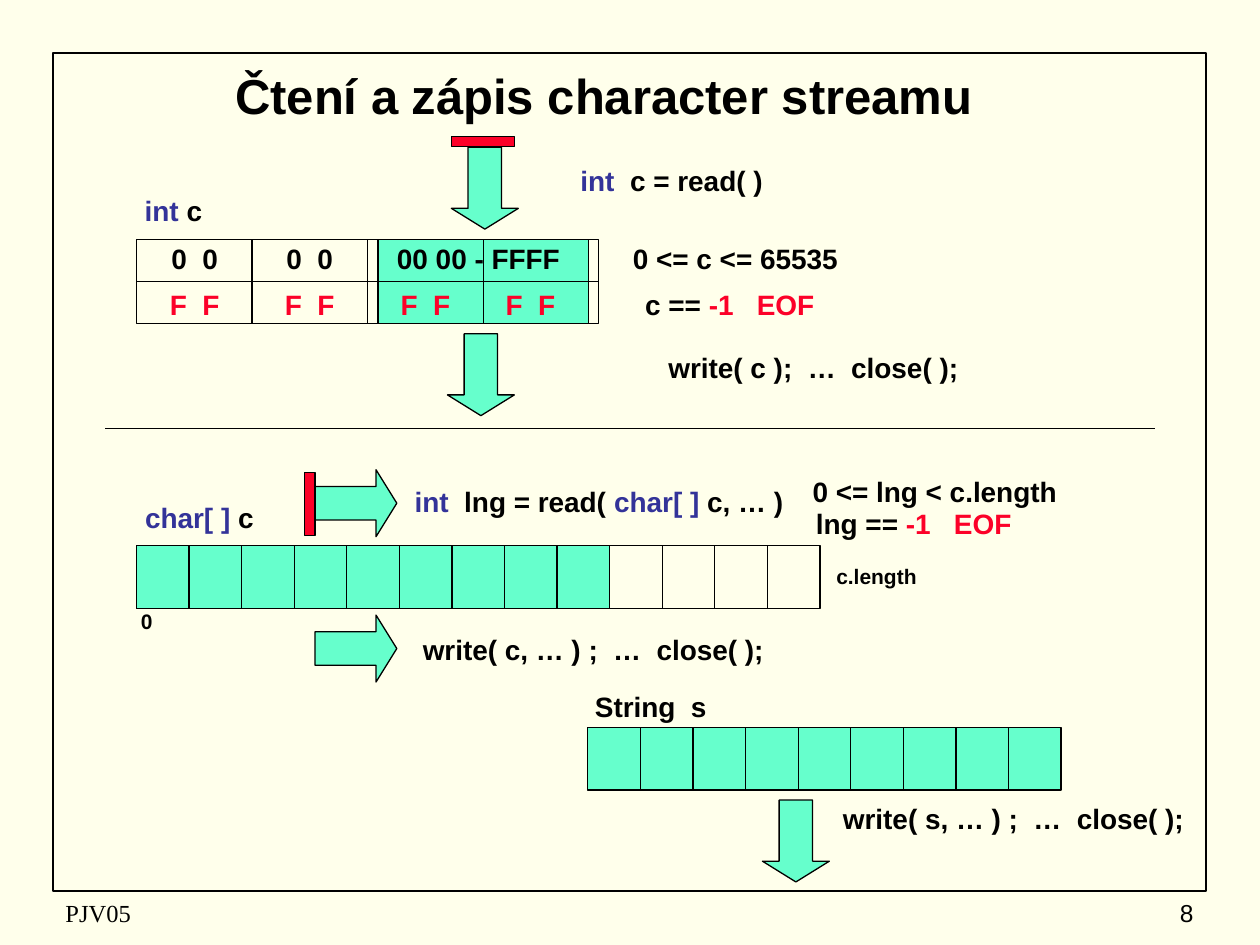
from lxml.etree import SubElement
from pptx import Presentation
from pptx.dml.color import RGBColor
from pptx.enum.shapes import MSO_CONNECTOR as CONNECTOR, MSO_SHAPE as SHAPE
from pptx.enum.text import MSO_ANCHOR as ANCHOR, MSO_AUTO_SIZE as AUTO_SIZE, PP_ALIGN as ALIGN
from pptx.oxml.ns import qn
from pptx.util import Cm, Pt

CREAM, MINT, RED, BLUE, BLACK = "FFFFEB", "66FFCC", "FC0128", "333399", "000000"
LINE_HEIGHT = 0.94
ARROW_LENGTH, ARROW_BREADTH = 1.65, 1.35
STOP_LENGTH, STOP_BREADTH = 1.27, 0.21
CELL_WIDTH, CELL_HEIGHT = 1.06, 1.27


def rgb(color):
    return RGBColor.from_string(color)


def write_runs(frame, runs, size=16, font="Arial", bold=True, align=ALIGN.CENTER):
    """Fill a text frame from a string or a list of (text, colour) pairs."""
    paragraph = frame.paragraphs[0]
    paragraph.alignment = align
    for text, color in [(runs, BLACK)] if isinstance(runs, str) else runs:
        run = paragraph.add_run()
        run.text = text
        run.font.size, run.font.name, run.font.bold = Pt(size), font, bold
        run.font.color.rgb = rgb(color)


def add_label(slide, runs, left, top, width, height=LINE_HEIGHT, anchor=ANCHOR.TOP, **style):
    frame = slide.shapes.add_textbox(Cm(left), Cm(top), Cm(width), Cm(height)).text_frame
    frame.word_wrap = True
    frame.auto_size = AUTO_SIZE.SHAPE_TO_FIT_TEXT if anchor == ANCHOR.TOP else AUTO_SIZE.NONE
    frame.vertical_anchor = anchor
    write_runs(frame, runs, **style)


def add_block(slide, left, top, width, height, fill=None, preset=SHAPE.RECTANGLE, weight=0.75):
    block = slide.shapes.add_shape(preset, Cm(left), Cm(top), Cm(width), Cm(height))
    block.shadow.inherit = False
    if fill:
        block.fill.solid()
        block.fill.fore_color.rgb = rgb(fill)
    else:
        block.fill.background()
    block.line.color.rgb = rgb(BLACK)
    block.line.width = Pt(weight)
    return block


def add_arrow(slide, left, top, down=True):
    size = (ARROW_BREADTH, ARROW_LENGTH) if down else (ARROW_LENGTH, ARROW_BREADTH)
    preset = SHAPE.DOWN_ARROW if down else SHAPE.RIGHT_ARROW
    arrow = add_block(slide, left, top, *size, MINT, preset)
    arrow.adjustments[0], arrow.adjustments[1] = 0.5, 0.31


def add_line(slide, x1, y1, x2, y2):
    line = slide.shapes.add_connector(CONNECTOR.STRAIGHT, Cm(x1), Cm(y1), Cm(x2), Cm(y2))
    line.line.color.rgb = rgb(BLACK)
    line.line.width = Pt(0.75)
    SubElement(line._element.spPr, qn("a:effectLst"))
    return line


def add_grid(slide, left, top, width, height, columns, rows=1, fill=None):
    """Draw an outlined box split into equal cells."""
    box = add_block(slide, left, top, width, height, fill)
    for column in range(1, columns):
        x = left + width * column / columns
        line = add_line(slide, x, top, x, top + height)
        if 2 * column == columns:
            line.begin_connect(box, 0)
            line.end_connect(box, 2)
    for row in range(1, rows):
        y = top + height * row / rows
        line = add_line(slide, left, y, left + width, y)
        if 2 * row == rows:
            line.begin_connect(box, 1)
            line.end_connect(box, 3)


def page_frame(slide, left, top, width, height):
    add_block(slide, left, top, width, height, weight=1)
    footer = dict(top=top + height + 0.02, height=0.84, anchor=ANCHOR.MIDDLE, size=14, bold=False)
    add_label(slide, "PJV05", left, width=8.05, font="Times New Roman", align=ALIGN.LEFT, **footer)
    add_label(slide, "8", left + width - 5.28, width=5.28, align=ALIGN.RIGHT, **footer)


def slide_title(slide, left, top, width, height):
    title = slide.shapes.title
    title.left, title.top, title.width, title.height = Cm(left), Cm(top), Cm(width), Cm(height)
    title.text_frame.vertical_anchor = ANCHOR.MIDDLE
    write_runs(title.text_frame, "Čtení a zápis character streamu", size=28)


def single_char_section(slide, left, top):
    """Reading and writing one character held in the four bytes of an int."""
    byte_width, row_height = 2.33, 0.85
    bytes_top = top + 2.08
    for row in (0, 1):
        add_block(slide, left + 4.87, bytes_top + row * row_height, 4.24, row_height, MINT)
    add_grid(slide, left, bytes_top, 4 * byte_width, 2 * row_height, columns=4, rows=2)

    value_row, eof_row = top + 2, top + 2.92
    for offset in (0.22, 2.54):
        add_label(slide, "0  0", left + offset, value_row, 1.91)
    add_label(slide, "00 00 - FFFF", left + 4.67, value_row, 4.45)
    for offset in (0.22, 2.54, 4.87, 6.99):
        add_label(slide, [("F  F", RED)], left + offset, eof_row, 1.91)
    add_label(slide, "0 <= c <= 65535", left + 9.32, value_row, 5.51)
    add_label(slide, [("c == ", BLACK), ("-1   EOF", RED)], left + 9.32, eof_row, 5.28)

    add_arrow(slide, left + 6.35, top + 0.22)
    add_block(slide, left + 6.35, top, STOP_LENGTH, STOP_BREADTH, RED)
    add_label(slide, [("int ", BLUE), ("c", BLACK)], left - 0.21, top + 1.02, 1.91)
    add_label(slide, [("int ", BLUE), (" c = read( )", BLACK)], left + 8.25, top + 0.43, 5.08)
    add_arrow(slide, left + 6.27, top + 3.98)
    add_label(slide, "write( c );  …  close( );", left + 9.52, top + 4.19, 8.26)


def char_array_section(slide, left, top):
    """Reading and writing an array of which the first cells are filled."""
    cells, filled = 13, 9
    cells_top = top + 1.53
    add_block(slide, left, cells_top, filled * CELL_WIDTH, CELL_HEIGHT, MINT)
    add_grid(slide, left, cells_top, cells * CELL_WIDTH, CELL_HEIGHT, cells)
    add_label(slide, "0", left - 0.21, top + 2.67, 0.84, 0.76, size=12)
    add_label(slide, "c.length", left + 13.33, top + 1.76, 3.18, 0.76, size=12)

    add_arrow(slide, left + 3.6, top, down=False)
    add_block(slide, left + 3.39, top + 0.05, STOP_BREADTH, STOP_LENGTH, RED)
    add_label(slide, [("char[ ] ", BLUE), ("c", BLACK)], left - 0.42, top + 0.49, 3.38)
    add_label(slide, [("int ", BLUE), (" lng = read( ", BLACK), ("char[ ] ", BLUE), ("c, … )", BLACK)],
              left + 5.3, top + 0.18, 8.05)
    add_label(slide, "0 <= lng < c.length", left + 12.92, top - 0.02, 6.35)
    add_label(slide, [("lng == ", BLACK), ("-1   EOF", RED)], left + 13.13, top + 0.61, 5.08)
    add_arrow(slide, left + 3.6, top + 2.93, down=False)
    add_label(slide, "write( c, … ) ;  …  close( );", left + 4.45, top + 3.15, 9.53)


def string_section(slide, left, top):
    """Writing a whole string."""
    characters = 9
    add_label(slide, "String  s", left - 0.42, top, 3.38)
    add_grid(slide, left, top + 0.89, characters * CELL_WIDTH, CELL_HEIGHT, characters, fill=MINT)
    add_arrow(slide, left + 3.52, top + 2.36)
    add_label(slide, "write( s, … ) ;  …  close( );", left + 3.82, top + 2.26, 9.53)


def main():
    presentation = Presentation()
    presentation.slide_width, presentation.slide_height = Cm(25.4), Cm(19.05)
    slide = presentation.slides.add_slide(presentation.slide_layouts[5])
    slide.background.fill.solid()
    slide.background.fill.fore_color.rgb = rgb(CREAM)

    page_frame(slide, 1.07, 1.07, 23.24, 16.89)
    slide_title(slide, 0.84, 1.07, 22.66, 1.7)
    single_char_section(slide, 2.75, 2.75)
    add_line(slide, 2.12, 8.64, 23.28, 8.64)
    char_array_section(slide, 2.75, 9.47)
    string_section(slide, 11.85, 13.77)
    presentation.save("out.pptx")


if __name__ == "__main__":
    main()
